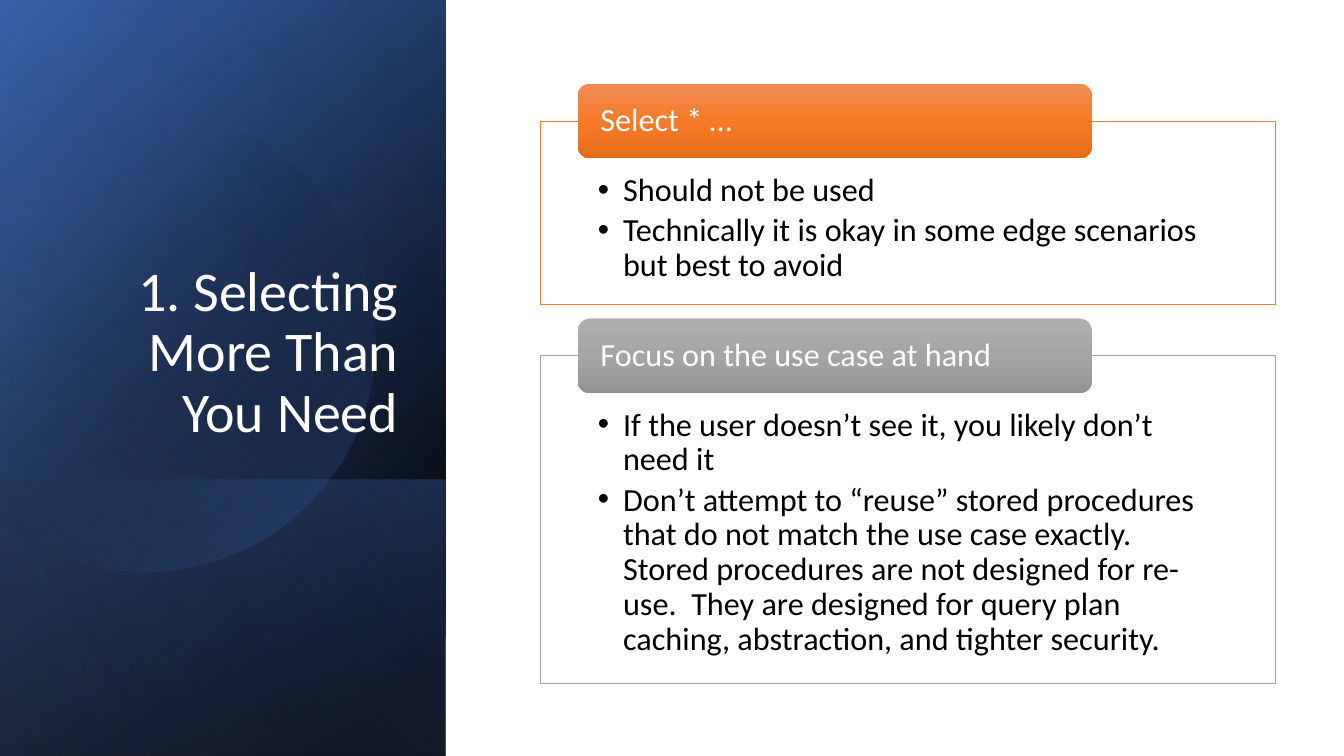
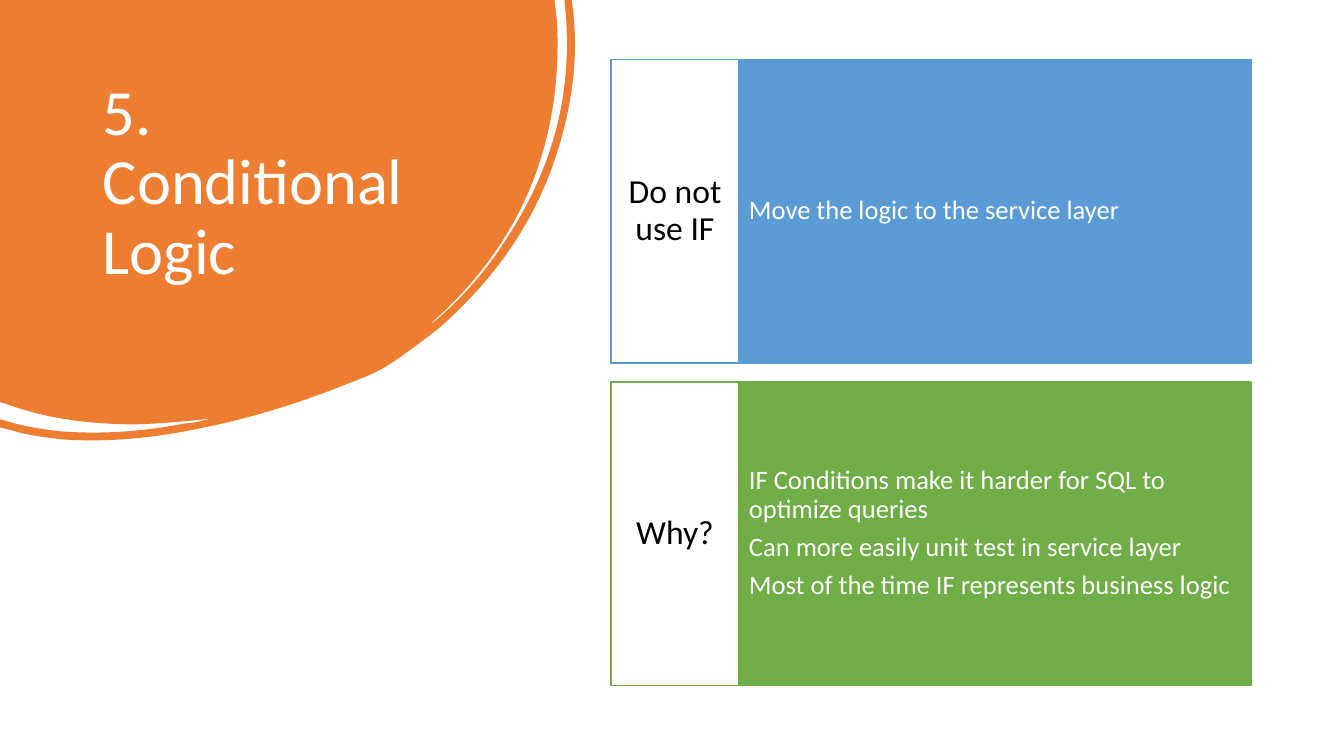
"""Build two slides on SQL habits: a gradient side panel and an orange blob."""
from lxml import etree
from pptx import Presentation
from pptx.dml.color import RGBColor
from pptx.enum.shapes import MSO_SHAPE
from pptx.enum.text import MSO_ANCHOR, MSO_AUTO_SIZE, PP_ALIGN
from pptx.oxml.ns import qn
from pptx.util import Inches, Pt

RECT, ROUNDED = MSO_SHAPE.RECTANGLE, MSO_SHAPE.ROUNDED_RECTANGLE
LEFT, CENTER, RIGHT = PP_ALIGN.LEFT, PP_ALIGN.CENTER, PP_ALIGN.RIGHT
TOP, MIDDLE, BOTTOM = MSO_ANCHOR.TOP, MSO_ANCHOR.MIDDLE, MSO_ANCHOR.BOTTOM
NO_FIT = MSO_AUTO_SIZE.NONE
TITLE_ONLY = 5

FONT = "Calibri"
WHITE, BLACK = "FFFFFF", "000000"
BLUE, ORANGE, GRAY = "4472C4", "ED7D31", "A5A5A5"
SKY, GREEN = "5B9BD5", "70AD47"

SELECTING = {
    "title": "1. Selecting More Than You Need",
    "cards": [
        {"heading": "Select * …", "top": 1.2, "height": 1.82, "line": ORANGE,
         "shades": [(0, "F18C57", 100), (50, "F67B28", 100), (100, "E56C19", 100)],
         "points": ["Should not be used",
                    "Technically it is okay in some edge scenarios but best to avoid"]},
        {"heading": "Focus on the use case at hand", "top": 3.53, "height": 3.25, "line": GRAY,
         "shades": [(0, "AFAFAF", 100), (50, GRAY, 100), (100, "939393", 100)],
         "points": ["If the user doesn’t see it, you likely don’t need it",
                    "Don’t attempt to “reuse” stored procedures that do not match the use "
                    "case exactly.  Stored procedures are not designed for re-use.  They are "
                    "designed for query plan caching, abstraction, and tighter security."]},
    ],
}
CONDITIONAL = {
    "title": "5. Conditional Logic",
    "rows": [
        ("Do not use IF", SKY, ["Move the logic to the service layer"]),
        ("Why?", GREEN, ["IF Conditions make it harder for SQL to optimize queries",
                         "Can more easily unit test in service layer",
                         "Most of the time IF represents business logic"]),
    ],
}

PANEL_WIDTH, PANEL_HEIGHT = 4.42, 7.5
PANEL_BASE = [
    (0, 140, [(8, BLACK, 100), (100, "2F5597", 100)]),
    (0, 120, [(0, BLACK, 0), (99, BLUE, 46)]),
    (4.76, 220, [(2, BLUE, 29), (100, BLACK, 30)]),
]
PANEL_GLOW = (0, 210, [(0, BLACK, 0), (99, "8FAADC", 11)])
DISC_SHADES = [(29, BLACK, 0), (100, BLUE, 43)]

DISC = [
    (1.49, 1.1),
    (2.46, 1.12, 3.35, 1.77, 3.63, 2.75), (3.98, 3.97, 3.28, 5.23, 2.07, 5.58),
    (1.31, 5.8, 0.53, 5.61, -0.03, 5.14), (-0.15, 5.03), (-0.15, 1.75), (0, 1.61),
    (0.23, 1.42, 0.5, 1.28, 0.8, 1.19), (1.03, 1.13, 1.26, 1.1, 1.49, 1.1),
]
BLOB = [
    (0, 0), (5.5, 0), (5.52, 0.17),
    (5.53, 0.26, 5.53, 0.36, 5.53, 0.45), (5.53, 1.01, 5.42, 1.54, 5.18, 2.04),
    (4.96, 2.49, 4.65, 2.88, 4.27, 3.21), (4.29, 3.21, 4.3, 3.19, 4.32, 3.18),
    (4.59, 2.95, 4.82, 2.69, 5.01, 2.39), (5.43, 1.76, 5.65, 1.07, 5.62, 0.3),
    (5.62, 0.21, 5.61, 0.12, 5.6, 0.03), (5.6, 0), (5.67, 0), (5.68, 0.07),
    (5.74, 0.54, 5.68, 1.02, 5.53, 1.5), (5.33, 2.14, 4.97, 2.68, 4.48, 3.14),
    (4.39, 3.23, 4.29, 3.31, 4.19, 3.38), (4.09, 3.46, 3.99, 3.53, 3.87, 3.61),
    (3.75, 3.69, 3.6, 3.75, 3.44, 3.81), (2.99, 3.99, 2.52, 4.14, 2.03, 4.24),
    (1.57, 4.34, 1.1, 4.39, 0.63, 4.36), (0.45, 4.34, 0.28, 4.32, 0.12, 4.27),
    (0, 4.24), (0, 4.16), (0.04, 4.17),
    (0.23, 4.23, 0.42, 4.26, 0.61, 4.28), (1.03, 4.31, 1.43, 4.28, 1.84, 4.2),
    (1.89, 4.2, 1.93, 4.19, 1.98, 4.18), (2.02, 4.17, 2.06, 4.16, 2.1, 4.15),
    (1.86, 4.18, 1.61, 4.2, 1.36, 4.21), (0.92, 4.21, 0.48, 4.16, 0.07, 4.01),
    (0, 3.99),
]


def rgb(color):
    return RGBColor.from_string(color)


def paint(shape, fill, line=None, weight=1, angle=270):
    shape.shadow.inherit = False
    if isinstance(fill, str):
        shape.fill.solid()
        shape.fill.fore_color.rgb = rgb(fill)
    else:
        shape.fill.gradient()
        shape.fill.gradient_angle = angle
        stops = next(shape._element.spPr.iter(qn("a:gsLst")))
        for old_stop in list(stops):
            stops.remove(old_stop)
        for position, color, opacity in fill:
            stop = etree.SubElement(stops, qn("a:gs"), pos=str(position * 1000))
            tint = etree.SubElement(stop, qn("a:srgbClr"), val=color)
            if opacity < 100:
                etree.SubElement(tint, qn("a:alpha"), val=str(opacity * 1000))
    if line:
        shape.line.color.rgb = rgb(line)
        shape.line.width = Pt(weight)
    else:
        shape.line.fill.background()


def add_box(slide, kind, box, fill, **style):
    shape = slide.shapes.add_shape(kind, *map(Inches, box))
    paint(shape, fill, **style)
    return shape


def add_outline(slide, outline, fill, **style):
    corners = [(Inches(x), Inches(y)) for segment in outline
               for x, y in zip(segment[::2], segment[1::2])]
    builder = slide.shapes.build_freeform(*corners[0])
    builder.add_line_segments(corners[1:], close=True)
    shape = builder.convert_to_shape()
    straight = iter(list(shape._element.spPr.iter(qn("a:lnTo"))))
    for segment in outline[1:]:
        first = next(straight)
        if len(segment) == 6:
            first.tag = qn("a:cubicBezTo")
            for _ in range(2):
                control = next(straight)
                first.append(control[0])
                control.getparent().remove(control)
    paint(shape, fill, **style)


def write(shape, lines, size, color, align=LEFT, anchor=MIDDLE,
          insets=(0.1, 0.05), after=0, bullets=False):
    across, *down = insets
    above, below = down[0], down[-1]
    frame = shape.text_frame
    settings = {"word_wrap": True, "auto_size": NO_FIT, "vertical_anchor": anchor,
                "margin_left": Inches(across), "margin_right": Inches(across),
                "margin_top": Inches(above), "margin_bottom": Inches(below)}
    for name, value in settings.items():
        setattr(frame, name, value)
    frame.text = "\n".join(lines)
    for paragraph in frame.paragraphs:
        layout = {"alignment": align, "line_spacing": 0.9,
                  "space_before": Pt(0), "space_after": Pt(after)}
        for name, value in layout.items():
            setattr(paragraph, name, value)
        font = paragraph.runs[0].font
        font.name, font.size, font.color.rgb = FONT, Pt(size), rgb(color)
        if bullets:
            properties = paragraph._p.get_or_add_pPr()
            properties.set("marL", str(Inches(0.25)))
            properties.set("indent", str(-Inches(0.25)))
            etree.SubElement(properties, qn("a:buFont"), typeface="Arial")
            etree.SubElement(properties, qn("a:buChar"), char="•")


def place_title(slide, text, box, size, **style):
    title = slide.shapes.title
    title.left, title.top, title.width, title.height = map(Inches, box)
    write(title, [text], size, WHITE, **style)
    slide.shapes._spTree.append(title._element)


def add_panel_layer(slide, top, angle, shades):
    add_box(slide, RECT, (0, top, PANEL_WIDTH, PANEL_HEIGHT - top), shades, angle=angle)


def build_selecting(slide):
    for layer in PANEL_BASE:
        add_panel_layer(slide, *layer)
    add_outline(slide, DISC, DISC_SHADES, angle=314)
    add_panel_layer(slide, *PANEL_GLOW)
    place_title(slide, SELECTING["title"], (0.64, 1.84, 3.41, 2.62), 40,
                align=RIGHT, anchor=BOTTOM)
    for card in SELECTING["cards"]:
        top = card["top"]
        body = add_box(slide, RECT, (5.36, top, 7.29, card["height"]), WHITE,
                       line=card["line"], weight=0.5)
        write(body, card["points"], 23, BLACK, anchor=TOP, insets=(0.57, 0.52, 0.18),
              after=4, bullets=True)
        heading = add_box(slide, ROUNDED, (5.73, top - 0.37, 5.1, 0.74), card["shades"])
        write(heading, [card["heading"]], 23, WHITE, insets=(0.19, 0))


def build_conditional(slide):
    add_outline(slide, BLOB, ORANGE)
    place_title(slide, CONDITIONAL["title"], (0.92, 0.74, 3.52, 2.22), 46, anchor=TOP)
    for index, (label, color, reasons) in enumerate(CONDITIONAL["rows"]):
        top = 0.59 + index * 3.2
        detail = add_box(slide, RECT, (7.33, top, 5.08, 3.01), color, line=color)
        write(detail, reasons, 19, WHITE, insets=(0.1, 0.77), after=6.65)
        caption = add_box(slide, RECT, (6.06, top, 1.27, 3.01), WHITE, line=color)
        write(caption, [label], 24, BLACK, align=CENTER, insets=(0.07, 0.3))


def main():
    deck = Presentation()
    deck.slide_width, deck.slide_height = Inches(13.33), Inches(7.5)
    for build in (build_selecting, build_conditional):
        build(deck.slides.add_slide(deck.slide_layouts[TITLE_ONLY]))
    deck.save("out.pptx")


if __name__ == "__main__":
    main()
